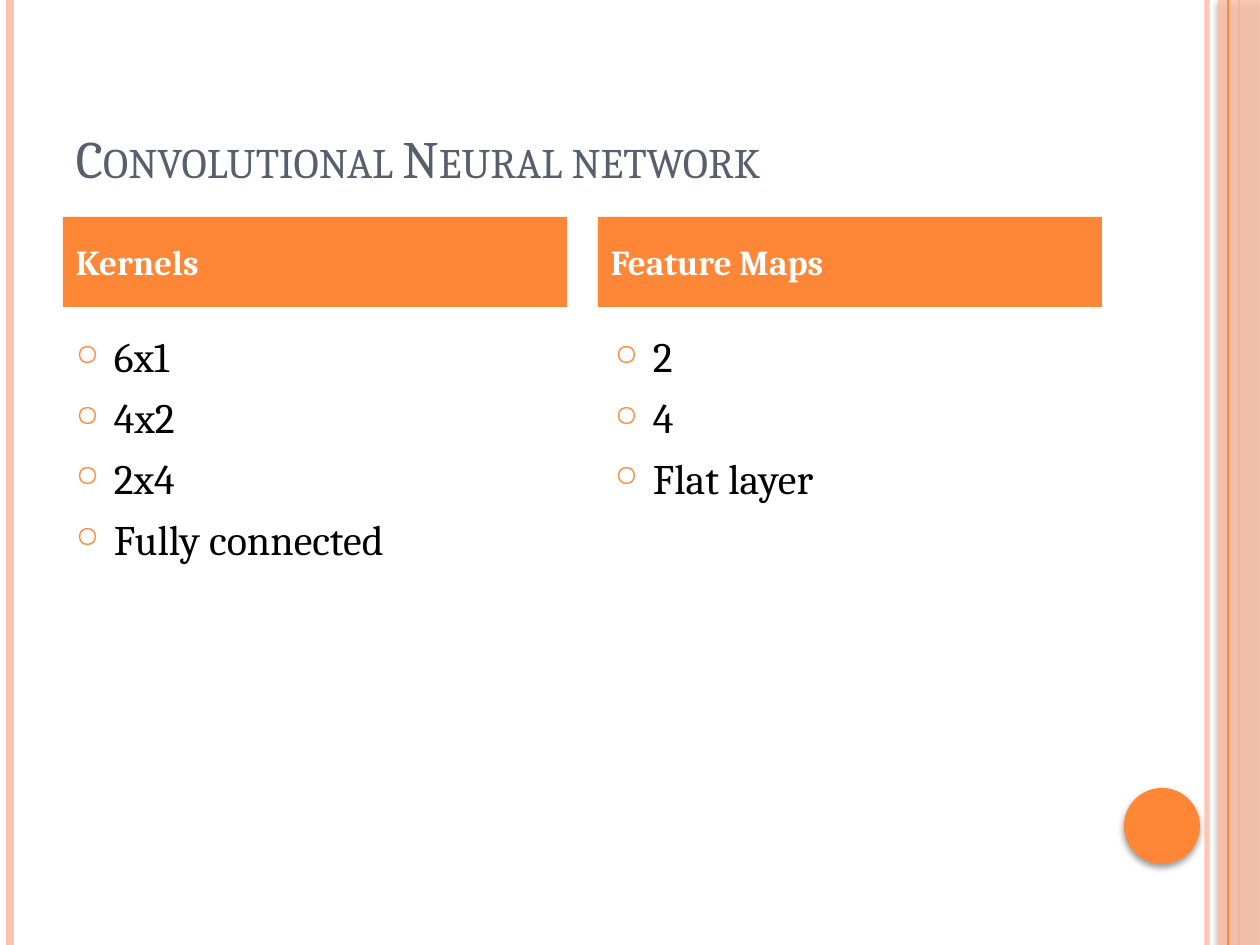
from lxml.etree import SubElement
from pptx import Presentation
from pptx.dml.color import RGBColor
from pptx.enum.shapes import MSO_CONNECTOR, MSO_SHAPE
from pptx.enum.text import MSO_ANCHOR, PP_ALIGN
from pptx.oxml.ns import qn
from pptx.util import Pt

PX = 914400 // 126
W, H = 1260, 945
COLORS = {"orange": "FE8637", "peach": "FEC3AE", "slate": "575F6D",
          "black": "000000", "white": "FFFFFF"}
TITLE = {"size": Pt(30), "name": "Cambria"}
HEADING = {"size": Pt(20), "name": "Cambria", "bold": True}
BODY = {"size": Pt(24), "name": "Cambria"}
FRAME = {"word_wrap": True, "margin_left": 13 * PX, "margin_right": 13 * PX,
         "margin_top": 6 * PX, "margin_bottom": 6 * PX}


def sub(parent, tag, **attrs):
    return SubElement(parent, qn(tag), attrs)


def write(sp, lines, fmt, color, anchor, before=0):
    tf = sp.text_frame
    for key, value in {**FRAME, "vertical_anchor": anchor}.items():
        setattr(tf, key, value)
    for i, line in enumerate(lines):
        p = tf.paragraphs[0] if i == 0 else tf.add_paragraph()
        p.alignment = PP_ALIGN.LEFT
        p.space_before = Pt(before)
        r = p.add_run()
        r.text = line
        for key, value in fmt.items():
            setattr(r.font, key, value)
        r.font.color.rgb = RGBColor.from_string(COLORS[color])
    return tf


prs = Presentation()
prs.slide_width, prs.slide_height = 9144000, 6858000
s = prs.slides.add_slide(prs.slide_layouts[6])

decor = [
    ("line", 1207, "peach", 3, 93),
    ("line", 10, "peach", 4.5, 100),
    ("line", 1239, "orange", 1.5, 100),
    (MSO_SHAPE.RECTANGLE, (1218, 0, 42, H), "peach", 0, 87),
    ("line", 1228, "orange", 0.75, 100),
    (MSO_SHAPE.OVAL, (1124, 788, 76, 76), "orange", 0, 100),
]
for kind, place, color, width, alpha in decor:
    if kind == "line":
        sp = s.shapes.add_connector(MSO_CONNECTOR.STRAIGHT, place * PX, 0, place * PX, prs.slide_height)
        sp.line.width = Pt(width)
        fill = sp.line.fill
    else:
        sp = s.shapes.add_shape(kind, *[v * PX for v in place])
        sp.line.fill.background()
        fill = sp.fill
    fill.solid()
    fill.fore_color.rgb = RGBColor.from_string(COLORS[color])
    spPr = sp._element.spPr
    if alpha < 100:
        clr = next(spPr.iter(qn("a:srgbClr")))
        sub(clr, "a:alpha", val=str(alpha * 1000))
    effects = sub(spPr, "a:effectLst")
    if kind != "line":
        shadow = sub(effects, "a:outerShdw", blurRad=str(Pt(4)), dist=str(Pt(2)),
                     dir="5400000", rotWithShape="0")
        clr = sub(shadow, "a:srgbClr", val=COLORS["black"])
        sub(clr, "a:alpha", val="40000")

title = s.shapes.add_textbox(63 * PX, 38 * PX, 1040 * PX, 157 * PX)
tf = write(title, ["Convolutional Neural network"], TITLE, "slate", MSO_ANCHOR.BOTTOM)
tf.paragraphs[0].runs[0].font._element.set("cap", "small")

columns = [
    (63, 63, "Kernels", ["6x1", "4x2", "2x4", "Fully connected"]),
    (598, 602, "Feature Maps", ["2", "4", "Flat layer"]),
]
for head_x, list_x, heading, items in columns:
    body = s.shapes.add_textbox(list_x * PX, 325 * PX, 504 * PX, 535 * PX)
    tf = write(body, items, BODY, "black", MSO_ANCHOR.TOP, 6)
    for p in tf.paragraphs:
        pPr = p._p.get_or_add_pPr()
        pPr.set("marL", str(38 * PX))
        pPr.set("indent", str(-38 * PX))
        sub(sub(pPr, "a:buClr"), "a:srgbClr", val=COLORS["orange"])
        sub(pPr, "a:buSzPct", val="70000")
        sub(pPr, "a:buChar", char="○")

    sp = s.shapes.add_shape(MSO_SHAPE.RECTANGLE, head_x * PX, 217 * PX, 504 * PX, 90 * PX)
    sp.shadow.inherit = False
    sp.fill.solid()
    sp.fill.fore_color.rgb = RGBColor.from_string(COLORS["orange"])
    sp.line.fill.background()
    write(sp, [heading], HEADING, "white", MSO_ANCHOR.MIDDLE, 6)

prs.save("out.pptx")
